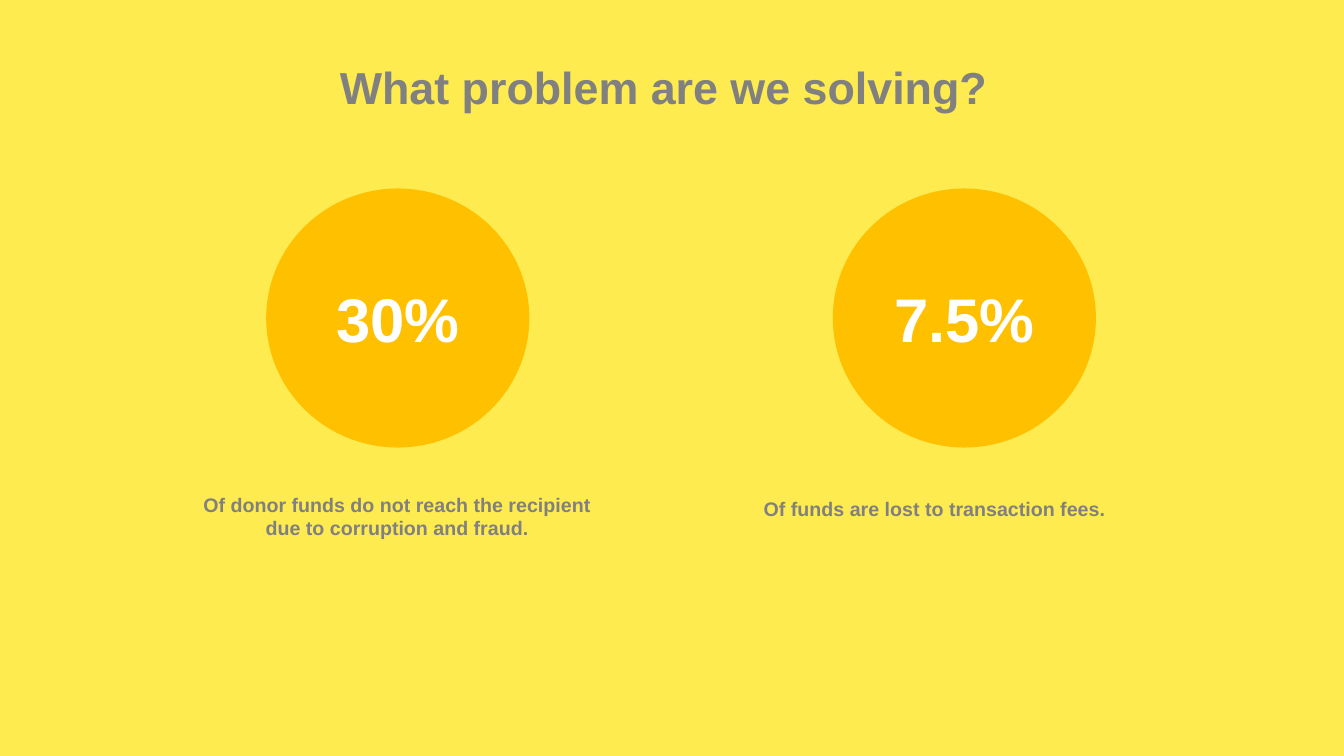
from pptx import Presentation
from pptx.dml.color import RGBColor
from pptx.enum.shapes import MSO_SHAPE as Shape
from pptx.enum.text import MSO_ANCHOR as Anchor, MSO_AUTO_SIZE as AutoSize, PP_ALIGN as Align
from pptx.util import Inches, Pt

FONT = "Arial"
YELLOW = "FEEB4F"
AMBER = "FFC000"
GREY = "808080"
WHITE = "FFFFFF"

CIRCLE_TOP, CIRCLE_WIDTH, CIRCLE_HEIGHT = 1.87, 2.61, 2.57

# Figure, circle left, caption, caption box (left, top, width, height)
STATISTICS = [
    ("30%", 2.64,
     "Of donor funds do not reach the recipient due to corruption and fraud.",
     (1.81, 4.84, 4.26, 0.57)),
    ("7.5%", 8.26,
     "Of funds are lost to transaction fees.",
     (7.06, 4.88, 4.42, 0.34)),
]


def set_fill(fill, color):
    fill.solid()
    fill.fore_color.rgb = RGBColor.from_string(color)


def write_text(shape, text, size, color, anchor=Anchor.TOP):
    frame = shape.text_frame
    frame.word_wrap = True
    frame.auto_size = AutoSize.NONE
    frame.vertical_anchor = anchor
    paragraph = frame.paragraphs[0]
    paragraph.alignment = Align.CENTER
    run = paragraph.add_run()
    run.text = text
    run.font.name = FONT
    run.font.size = Pt(size)
    run.font.bold = True
    run.font.color.rgb = RGBColor.from_string(color)


def set_title(slide, text, box):
    title = slide.shapes.title
    title.left, title.top, title.width, title.height = map(Inches, box)
    write_text(title, text, 32, GREY)


def add_circle(slide, figure, left):
    box = (left, CIRCLE_TOP, CIRCLE_WIDTH, CIRCLE_HEIGHT)
    circle = slide.shapes.add_shape(Shape.OVAL, *map(Inches, box))
    circle.shadow.inherit = False
    set_fill(circle.fill, AMBER)
    circle.line.fill.background()
    write_text(circle, figure, 44, WHITE, Anchor.MIDDLE)


def add_caption(slide, text, box):
    caption = slide.shapes.add_textbox(*map(Inches, box))
    write_text(caption, text, 14, GREY)


def main():
    presentation = Presentation()
    presentation.slide_width = Inches(13.33)
    presentation.slide_height = Inches(7.5)

    # Title Only layout on a yellow background
    slide = presentation.slides.add_slide(presentation.slide_layouts[5])
    set_fill(slide.background.fill, YELLOW)
    set_title(slide, "What problem are we solving?", (3.12, 0.54, 6.93, 0.64))

    # Statistics with their captions
    for figure, circle_left, caption, caption_box in STATISTICS:
        add_circle(slide, figure, circle_left)
        add_caption(slide, caption, caption_box)

    presentation.save("out.pptx")


main()
